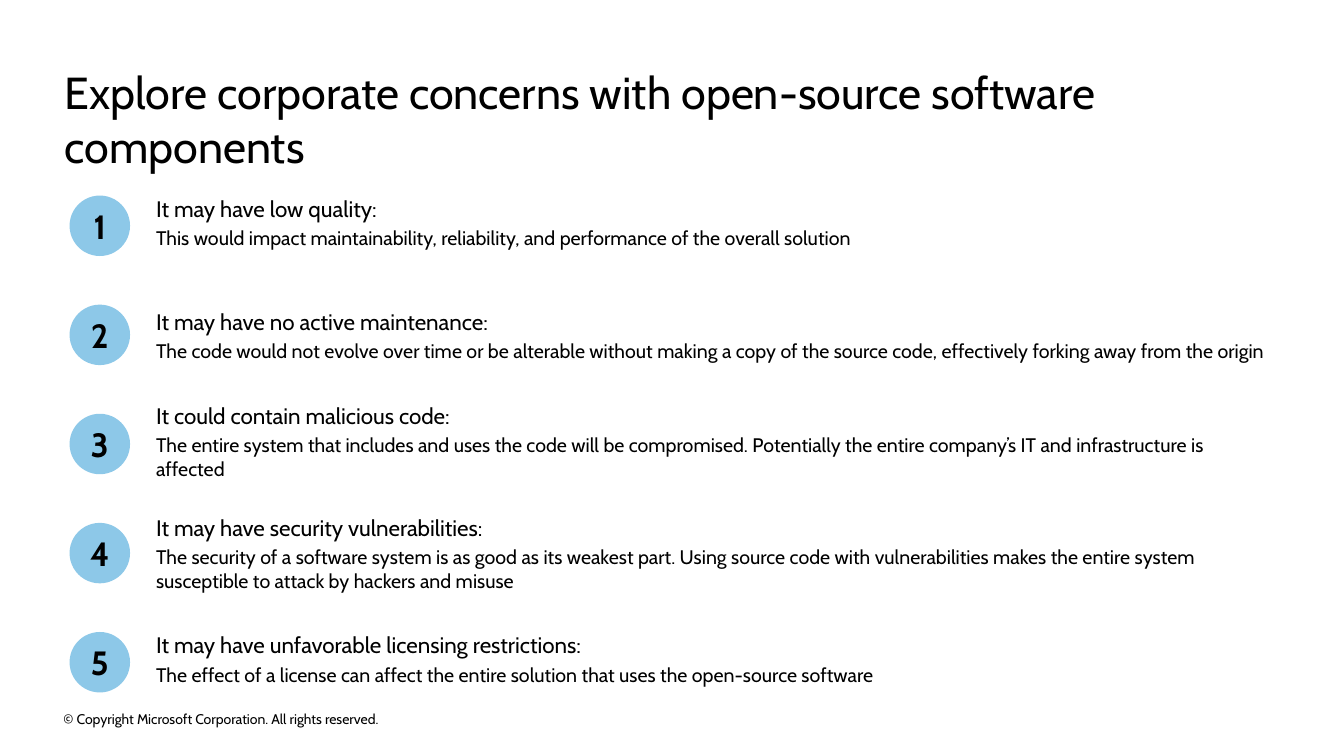
import pptx
import pptx.util
import pptx.dml.color
import pptx.enum.shapes
import pptx.enum.text

Inches = pptx.util.Inches
Anchor = pptx.enum.text.MSO_ANCHOR
Align = pptx.enum.text.PP_ALIGN


def rgb(hex_string):
    return pptx.dml.color.RGBColor.from_string(hex_string)


def write(para, text, size, bold=False):
    """Fill a paragraph with black text in the slide's font."""
    para.text = text
    para.font.name = "Cabin"
    para.font.size = pptx.util.Pt(size)
    para.font.bold = bold
    para.font.color.rgb = rgb("000000")


# Heading, description, text top, text height
concerns = [
    ("It may have low quality:",
     "This would impact maintainability, reliability, and performance of the overall solution",
     1.88, 0.65),
    ("It may have no active maintenance:",
     "The code would not evolve over time or be alterable without making a copy of the "
     "source code, effectively forking away from the origin",
     2.88, 0.89),
    ("It could contain malicious code:",
     "The entire system that includes and uses the code will be compromised. Potentially "
     "the entire company’s IT and infrastructure is affected",
     3.93, 0.89),
    ("It may have security vulnerabilities:",
     "The security of a software system is as good as its weakest part. Using source code "
     "with vulnerabilities makes the entire system susceptible to attack by hackers and misuse",
     5.04, 0.89),
    ("It may have unfavorable licensing restrictions:",
     "The effect of a license can affect the entire solution that uses the open-source software",
     6.21, 0.65),
]
first_circle_top = 1.94
last_circle_top = 6.27
circle_pitch = (last_circle_top - first_circle_top) / (len(concerns) - 1)

deck = pptx.Presentation()
deck.slide_width = Inches(13.33)
deck.slide_height = Inches(7.5)
slide = deck.slides.add_slide(deck.slide_layouts[5])

title = slide.shapes.title
title.left, title.top = Inches(0.64), Inches(0.64)
title.width, title.height = Inches(12.04), Inches(0.54)
title_frame = title.text_frame
title_frame.margin_left = title_frame.margin_right = 0
title_frame.margin_top = title_frame.margin_bottom = 0
title_frame.word_wrap = True
title_frame.auto_size = pptx.enum.text.MSO_AUTO_SIZE.NONE
title_frame.vertical_anchor = Anchor.TOP
title_para = title_frame.paragraphs[0]
write(title_para, "Explore corporate concerns with open-source software components", 32)
title_para.alignment = Align.LEFT

for index, (heading, description, top, height) in enumerate(concerns):
    circle = slide.shapes.add_shape(
        pptx.enum.shapes.MSO_SHAPE.OVAL,
        Inches(0.69), Inches(first_circle_top + index * circle_pitch),
        Inches(0.6), Inches(0.6))
    circle.shadow.inherit = False
    circle.fill.solid()
    circle.fill.fore_color.rgb = rgb("8DC8E8")
    circle.line.fill.background()
    circle.text_frame.vertical_anchor = Anchor.MIDDLE
    number_para = circle.text_frame.paragraphs[0]
    write(number_para, str(index + 1), 24, bold=True)
    number_para.alignment = Align.CENTER

    box = slide.shapes.add_textbox(Inches(1.45), Inches(top), Inches(11.24), Inches(height))
    box.text_frame.word_wrap = True
    box.text_frame.vertical_anchor = Anchor.MIDDLE
    write(box.text_frame.paragraphs[0], heading, 16)
    description_para = box.text_frame.add_paragraph()
    write(description_para, description, 14)
    description_para.space_before = pptx.util.Pt(3)

footer = slide.shapes.add_textbox(Inches(0.63), Inches(7.02), Inches(4.54), Inches(0.22))
footer_frame = footer.text_frame
footer_frame.margin_left = footer_frame.margin_right = 0
footer_frame.margin_top = footer_frame.margin_bottom = 0
footer_frame.word_wrap = True
footer_frame.vertical_anchor = Anchor.MIDDLE
write(footer_frame.paragraphs[0], "© Copyright Microsoft Corporation. All rights reserved.", 10)

deck.save("out.pptx")
